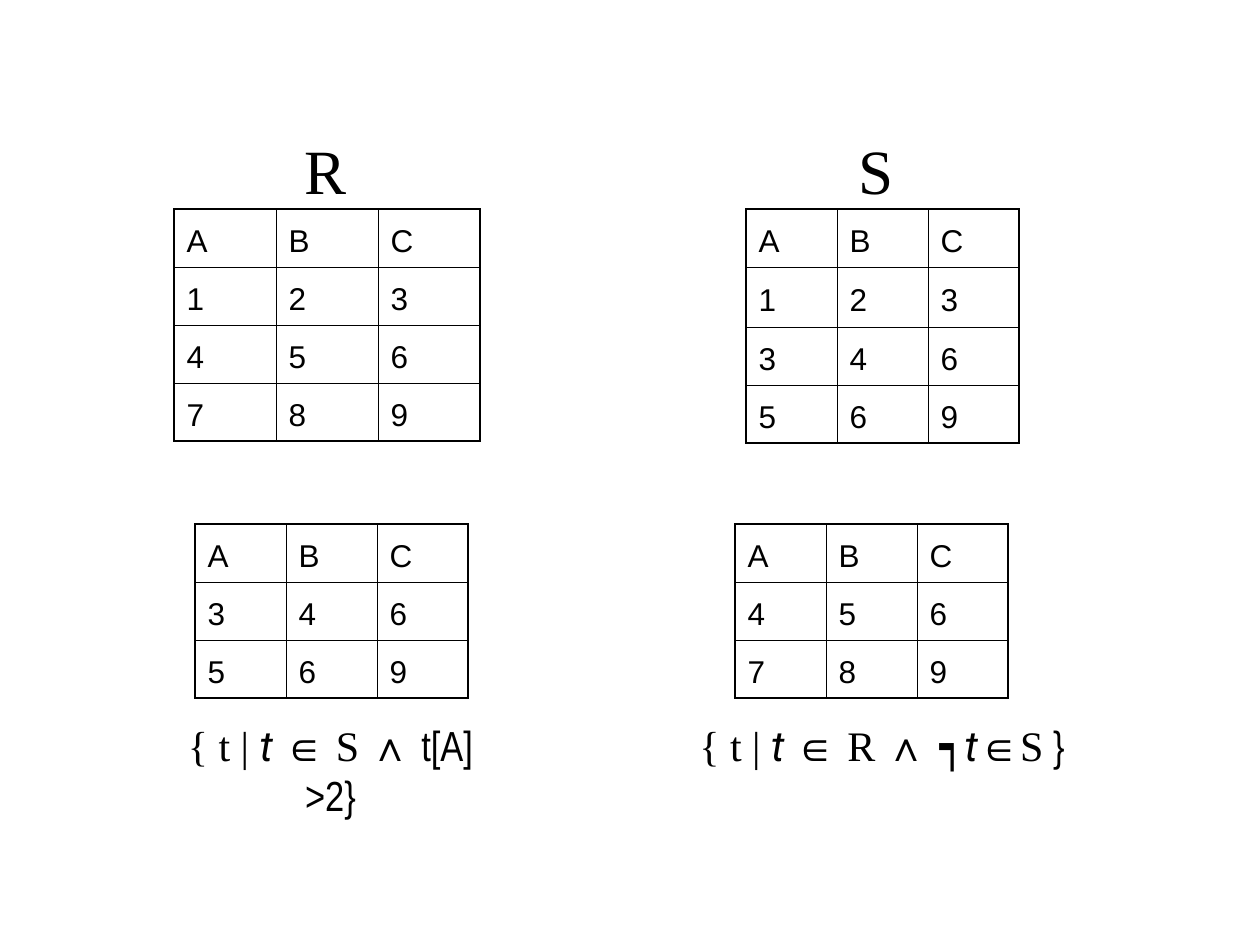
from lxml import etree
from pptx import Presentation
from pptx import util as u
from pptx.dml.color import RGBColor
from pptx.enum import text
from pptx.oxml import ns

PX = 914400 // 126
BLACK = RGBColor(0, 0, 0)
SERIF, SANS, NARROW, ITALIC = "Times New Roman", "Arial", "Arial Narrow", "Roboto"
OUTER, INNER = u.Pt(1.08), u.Pt(0.45)

presentation = Presentation()
presentation.slide_width = 1260 * PX
presentation.slide_height = 945 * PX
slide = presentation.slides.add_slide(presentation.slide_layouts[6])


def add_run(paragraph, words, font_name, size):
    run = paragraph.add_run()
    run.text = words
    run.font.name = font_name
    run.font.size = u.Pt(size)
    run.font.italic = font_name == ITALIC
    run.font.color.rgb = BLACK


def add_border(cell, side, width):
    line = etree.SubElement(cell._tc.get_or_add_tcPr(), ns.qn(f"a:{side}"), w=str(width))
    fill = etree.SubElement(line, ns.qn("a:solidFill"))
    etree.SubElement(fill, ns.qn("a:srgbClr"), val=str(BLACK))


# Relations R and S above, query results below: left, top, column width, row heights, rows
tables = [
    (174, 209, 102, [58, 58, 58, 58], ["ABC", "123", "456", "789"]),
    (746, 209, 91, [58, 60, 58, 58], ["ABC", "123", "346", "569"]),
    (195, 524, 91, [58, 58, 58], ["ABC", "346", "569"]),
    (735, 524, 91, [58, 58, 58], ["ABC", "456", "789"]),
]
for left, top, column_width, heights, rows in tables:
    shape = slide.shapes.add_table(len(rows), 3, left * PX, top * PX,
                                   3 * column_width * PX, sum(heights) * PX)
    table = shape.table
    table.first_row = table.horz_banding = False
    for column in table.columns:
        column.width = column_width * PX
    for r, values in enumerate(rows):
        table.rows[r].height = heights[r] * PX
        for c, value in enumerate(values):
            cell = table.cell(r, c)
            cell.vertical_anchor = text.MSO_ANCHOR.MIDDLE
            paragraph = cell.text_frame.paragraphs[0]
            paragraph.line_spacing = 1.2
            add_run(paragraph, value, SANS, 18)
            edges = {"lnL": c == 0, "lnR": c == 2,
                     "lnT": r == 0, "lnB": r == len(rows) - 1}
            for side, is_outer in edges.items():
                add_border(cell, side, OUTER if is_outer else INNER)
            cell.fill.background()

# Relation names and query formulas: left, top, width, height, size, runs
labels = [
    (278, 125, 95, 88, 36, [("R", SERIF)]),
    (829, 125, 95, 88, 36, [("S", SERIF)]),
    (165, 713, 331, 63, 24, [
        ("{ t | ", SERIF), ("t ", ITALIC), ("∈", SANS), (" S ", SERIF),
        ("∧", SANS), (" t[A] >2}", NARROW)]),
    (672, 713, 420, 63, 24, [
        ("{ t | ", SERIF), ("t ", ITALIC), ("∈", SANS), (" R ", SERIF),
        ("∧ ", SANS), ("┑t", ITALIC), ("∈", SANS), ("S", SERIF), (" }", NARROW)]),
]
for left, top, width, height, size, runs in labels:
    shape = slide.shapes.add_textbox(left * PX, top * PX, width * PX, height * PX)
    frame = shape.text_frame
    frame.word_wrap = True
    frame.auto_size = text.MSO_AUTO_SIZE.SHAPE_TO_FIT_TEXT
    paragraph = frame.paragraphs[0]
    paragraph.alignment = text.PP_ALIGN.CENTER
    for words, font_name in runs:
        add_run(paragraph, words, font_name, size)

presentation.save("out.pptx")
